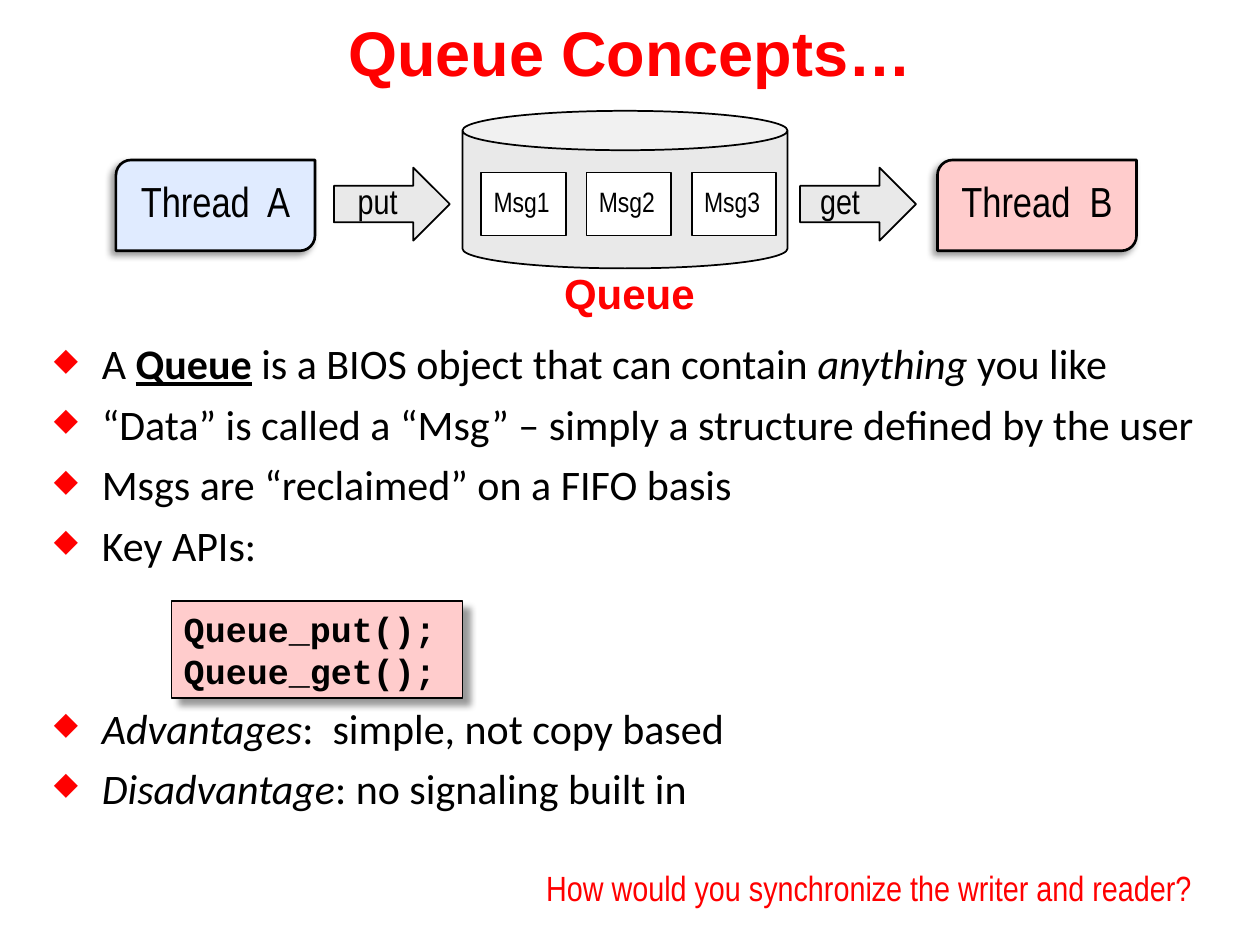
from lxml.etree import SubElement
from pptx import Presentation
from pptx.dml.color import RGBColor
from pptx.enum.shapes import MSO_SHAPE as Shape
from pptx.enum.text import MSO_ANCHOR as Anchor, PP_ALIGN as Align
from pptx.oxml.ns import qn
from pptx.util import Inches, Pt

COLORS = {
    "black": "000000", "white": "FFFFFF", "red": "FF0000",
    "blue": "E0EBFF", "pink": "FFCCCC", "gray": "E9E9E9",
}
NARROW = "Arial Narrow"
PLAIN, BOLD, ITALIC, KEYWORD = "", "b", "i", "bu"
POINTS = [
    [("A ", PLAIN), ("Queue", KEYWORD),
     (" is a BIOS object that can contain ", PLAIN),
     ("anything", ITALIC), (" you like", PLAIN)],
    [("“Data” is called a “Msg” – simply a structure defined by the user", PLAIN)],
    [("Msgs are “reclaimed” on a FIFO basis", PLAIN)],
    [("Key APIs:", PLAIN)],
    [("Advantages", ITALIC), (":  simple, not copy based", PLAIN)],
    [("Disadvantage", ITALIC), (": no signaling built in", PLAIN)],
]
POINT_GAP = 11.5
CODE_GAP = 81.5


def rgb(name):
    return RGBColor.from_string(COLORS[name])


def add_element(parent, tag, **attributes):
    return SubElement(parent, qn(tag), {key: str(value) for key, value in attributes.items()})


def add_bullet(paragraph):
    props = paragraph._p.get_or_add_pPr()
    props.set("marL", str(Inches(0.38)))
    props.set("indent", str(-Inches(0.38)))
    add_element(add_element(props, "a:buClr"), "a:srgbClr", val=COLORS["red"])
    add_element(props, "a:buSzPct", val=75000)
    add_element(props, "a:buChar", char="◆")


def write(frame, paragraphs, font=NARROW, size=24, color="black", align=Align.LEFT,
          anchor=Anchor.MIDDLE, spacing=0.8, wrap=True, gaps=None, bullets=False):
    frame.word_wrap = wrap
    frame.vertical_anchor = anchor
    for index, runs in enumerate(paragraphs):
        paragraph = frame.paragraphs[0] if index == 0 else frame.add_paragraph()
        paragraph.alignment = align
        paragraph.line_spacing = spacing
        if gaps and index:
            paragraph.space_before = Pt(gaps[index])
        if bullets:
            add_bullet(paragraph)
        for words, style in runs:
            run = paragraph.add_run()
            run.text = words
            run.font.name = font
            run.font.size = Pt(size)
            run.font.color.rgb = rgb(color)
            run.font.bold = "b" in style
            run.font.italic = "i" in style
            run.font.underline = "u" in style


def add_label(slide, box, paragraphs, margin=None, **text_format):
    frame = slide.shapes.add_textbox(*map(Inches, box)).text_frame
    if margin is not None:
        frame.margin_left = frame.margin_right = Inches(margin)
        frame.margin_top = frame.margin_bottom = Inches(margin)
    write(frame, paragraphs, **text_format)


def add_block(slide, kind, box, fill, weight=1, shadow=None, paragraphs=(), **text_format):
    block = slide.shapes.add_shape(kind, *map(Inches, box))
    block.fill.solid()
    block.fill.fore_color.rgb = rgb(fill)
    block.line.color.rgb = rgb("black")
    block.line.width = Pt(weight)
    block.shadow.inherit = False
    if shadow:
        distance, angle = shadow
        effects = block._element.spPr.find(qn("a:effectLst"))
        outer = add_element(effects, "a:outerShdw", blurRad=Pt(4), dist=Pt(distance),
                            dir=angle * 60000, algn="ctr", rotWithShape=0)
        tint = add_element(outer, "a:srgbClr", val=COLORS["black"])
        add_element(tint, "a:alpha", val=40000)
    write(block.text_frame, paragraphs, **text_format)


def add_thread(slide, left, name, fill):
    add_block(slide, Shape.ROUND_2_DIAG_RECTANGLE, (left, 1.27, 1.58, 0.72), fill,
              weight=1.5, shadow=(3, 135), paragraphs=[[(name, PLAIN)]], align=Align.CENTER)


def add_transfer(slide, arrow_left, label_left, call):
    add_block(slide, Shape.RIGHT_ARROW, (arrow_left, 1.33, 0.92, 0.58), "gray")
    add_label(slide, (label_left, 1.37, 0.52, 0.44), [[(call, PLAIN)]],
              size=20, spacing=1, wrap=False)


def add_queue(slide):
    add_block(slide, Shape.CAN, (3.67, 0.88, 2.58, 1.25), "gray")
    add_label(slide, (4.37, 2.15, 1.25, 0.42), [[("Queue", BOLD)]],
              font="Arial", color="red", align=Align.CENTER, wrap=False)
    for index in range(3):
        add_block(slide, Shape.RECTANGLE, (3.82 + index * 0.835, 1.37, 0.67, 0.5), "white",
                  paragraphs=[[(f"Msg{index + 1}", PLAIN)]], size=16)


def main():
    deck = Presentation()
    deck.slide_width, deck.slide_height = Inches(10), Inches(7.5)
    slide = deck.slides.add_slide(deck.slide_layouts[6])

    add_label(slide, (0, 0, 10, 0.81), [[("Queue Concepts…", BOLD)]], font="Arial",
              size=36, color="red", align=Align.CENTER, spacing=1, wrap=False)
    add_thread(slide, 0.92, "Thread  A", "blue")
    add_thread(slide, 7.44, "Thread  B", "pink")
    add_transfer(slide, 2.65, 2.74, "put")
    add_transfer(slide, 6.35, 6.41, "get")
    add_queue(slide)

    gaps = [CODE_GAP if runs[0][0] == "Advantages" else POINT_GAP for runs in POINTS]
    add_label(slide, (0.33, 2.71, 9.75, 4.1), POINTS, font="Calibri",
              anchor=Anchor.TOP, gaps=gaps, bullets=True)
    add_block(slide, Shape.RECTANGLE, (1.36, 4.77, 2.31, 0.77), "pink", weight=0.75,
              shadow=(6, 45), font="Courier New", size=20, spacing=1,
              paragraphs=[[("Queue_put();", BOLD)], [("Queue_get();", BOLD)]])
    add_label(slide, (4.29, 6.94, 5.17, 0.27),
              [[("How would you synchronize the writer and reader?", PLAIN)]], margin=0,
              size=20, color="red", align=Align.RIGHT, anchor=Anchor.BOTTOM, wrap=False)
    deck.save("out.pptx")


if __name__ == "__main__":
    main()
